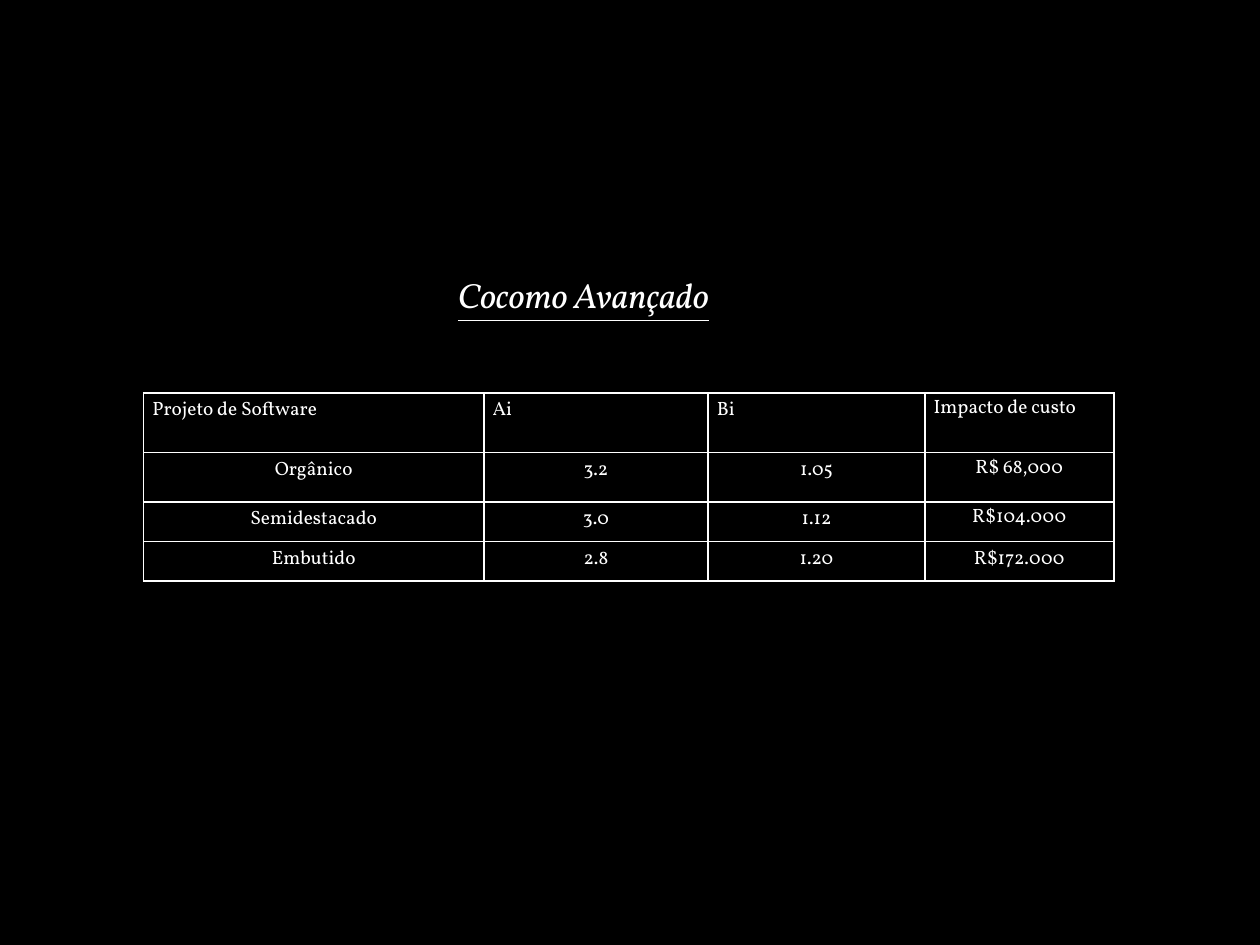
"""Builds the slide with the advanced COCOMO cost table."""
import dataclasses

import lxml.etree
import pptx
import pptx.dml.color
import pptx.enum.text
import pptx.oxml.ns
import pptx.util

ALIGN = pptx.enum.text.PP_ALIGN


@dataclasses.dataclass(frozen=True)
class Theme:
    """Colours, font and type sizes of the deck."""
    background: str = "000000"
    ink: str = "FFFFFF"
    font: str = "Vollkorn"
    title_size: int = 20
    table_size: int = 11
    border: int = 1


class SlideBuilder:
    """Places styled elements on a slide by shares of its size."""

    def __init__(self, deck, theme):
        """Add a title-only page with a plain background."""
        self.deck, self.theme = deck, theme
        self.page = deck.slides.add_slide(deck.slide_layouts[5])
        fill = self.page.background.fill
        fill.solid()
        fill.fore_color.rgb = pptx.dml.color.RGBColor.from_string(theme.background)

    def across(self, share):
        """Turn a share of the slide width into a length."""
        return pptx.util.Emu(round(self.deck.slide_width * share))

    def down(self, share):
        """Turn a share of the slide height into a length."""
        return pptx.util.Emu(round(self.deck.slide_height * share))

    def style(self, para, size, align):
        """Align a paragraph and format its runs."""
        para.alignment = align
        for span in para.runs:
            span.font.name = self.theme.font
            span.font.size = pptx.util.Pt(size)
            span.font.color.rgb = pptx.dml.color.RGBColor.from_string(self.theme.ink)

    def title(self, text, left, top, width, height):
        """Fill the title placeholder with italic underlined text."""
        box = self.page.shapes.title
        box.left, box.top = self.across(left), self.down(top)
        box.width, box.height = self.across(width), self.down(height)
        frame = box.text_frame
        frame.text = text
        frame.word_wrap = False
        frame.auto_size = pptx.enum.text.MSO_AUTO_SIZE.SHAPE_TO_FIT_TEXT
        frame.vertical_anchor = pptx.enum.text.MSO_ANCHOR.TOP
        para = frame.paragraphs[0]
        self.style(para, self.theme.title_size, ALIGN.CENTER)
        para.runs[0].font.italic = True
        para.runs[0].font.underline = True

    def table(self, rows, left, top, widths, heights):
        """Add an outlined table with a left-aligned header row."""
        table = self.page.shapes.add_table(
            len(rows), len(widths), self.across(left), self.down(top),
            self.across(sum(widths)), self.down(sum(heights))).table
        table.first_row = table.horz_banding = False
        for column, width in zip(table.columns, widths):
            column.width = self.across(width)
        for row, height in zip(table.rows, heights):
            row.height = self.down(height)
        for row_index, values in enumerate(rows):
            for column_index, value in enumerate(values):
                cost = column_index == len(widths) - 1 and row_index < len(rows) - 1
                self.cell(table.cell(row_index, column_index), value,
                          ALIGN.CENTER if row_index else ALIGN.LEFT,
                          *((1.07, 8) if cost else (1.15, 10)))

    def cell(self, cell, text, align, line_spacing, space_after):
        """Write one transparent table cell."""
        cell.text_frame.text = text
        cell.margin_left = cell.margin_right = pptx.util.Inches(0.07)
        cell.margin_top = cell.margin_bottom = 0
        para = cell.text_frame.paragraphs[0]
        para.line_spacing = line_spacing
        para.space_after = pptx.util.Pt(space_after)
        self.style(para, self.theme.table_size, align)
        cell.fill.background()
        self.outline(cell)

    def outline(self, cell):
        """Draw all four borders of a cell."""
        name = pptx.oxml.ns.qn
        properties = cell._tc.get_or_add_tcPr()
        for position, side in enumerate(("lnL", "lnR", "lnT", "lnB")):
            line = lxml.etree.Element(
                name(f"a:{side}"), w=str(pptx.util.Pt(self.theme.border)))
            fill = lxml.etree.SubElement(line, name("a:solidFill"))
            lxml.etree.SubElement(fill, name("a:srgbClr"), val=self.theme.ink)
            properties.insert(position, line)


def main():
    """Build and save the deck."""
    deck = pptx.Presentation()
    deck.slide_width = pptx.util.Inches(10)
    deck.slide_height = pptx.util.Inches(7.5)
    slide = SlideBuilder(deck, Theme())
    slide.title("Cocomo Avançado", left=0.343, top=0.283, width=0.24, height=0.059)
    slide.table(
        [("Projeto de Software", "Ai", "Bi", "Impacto de custo"),
         ("Orgânico", "3.2", "1.05", "R$ 68,000"),
         ("Semidestacado", "3.0", "1.12", "R$104.000"),
         ("Embutido", "2.8", "1.20", "R$172.000")],
        left=0.114, top=0.416,
        widths=(0.27, 0.178, 0.172, 0.15),
        heights=(0.063, 0.052, 0.042, 0.042))
    deck.save("out.pptx")


if __name__ == "__main__":
    main()
